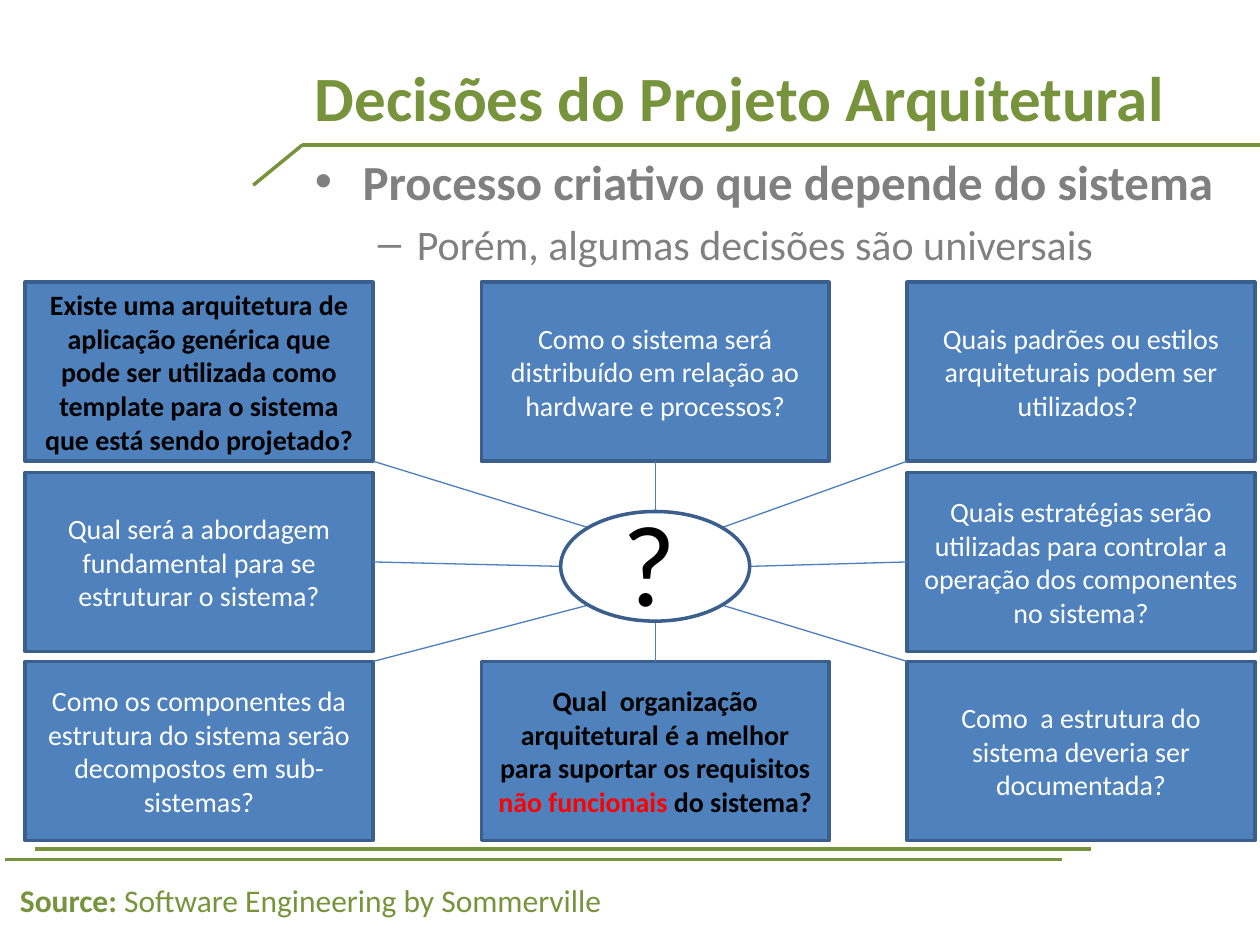
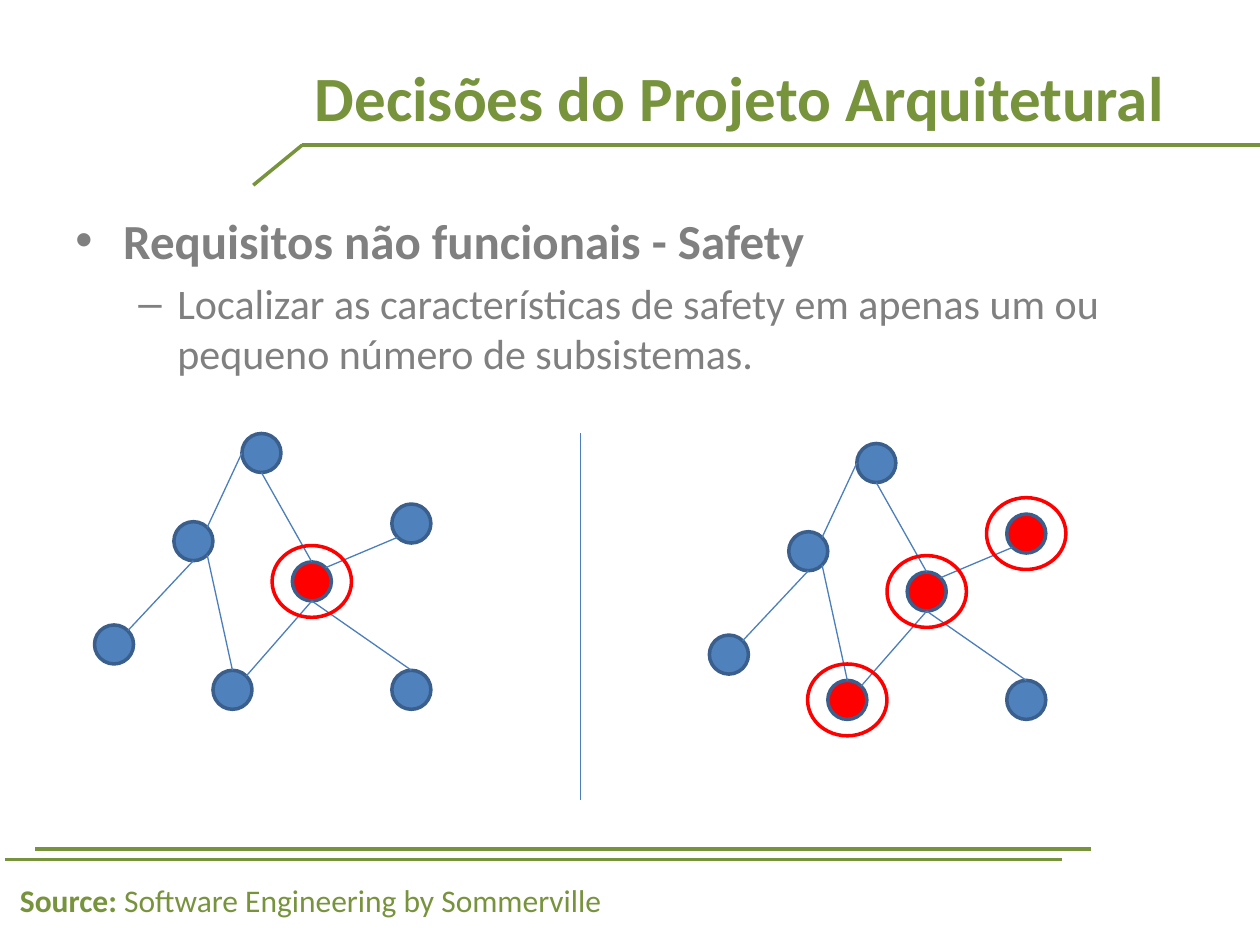
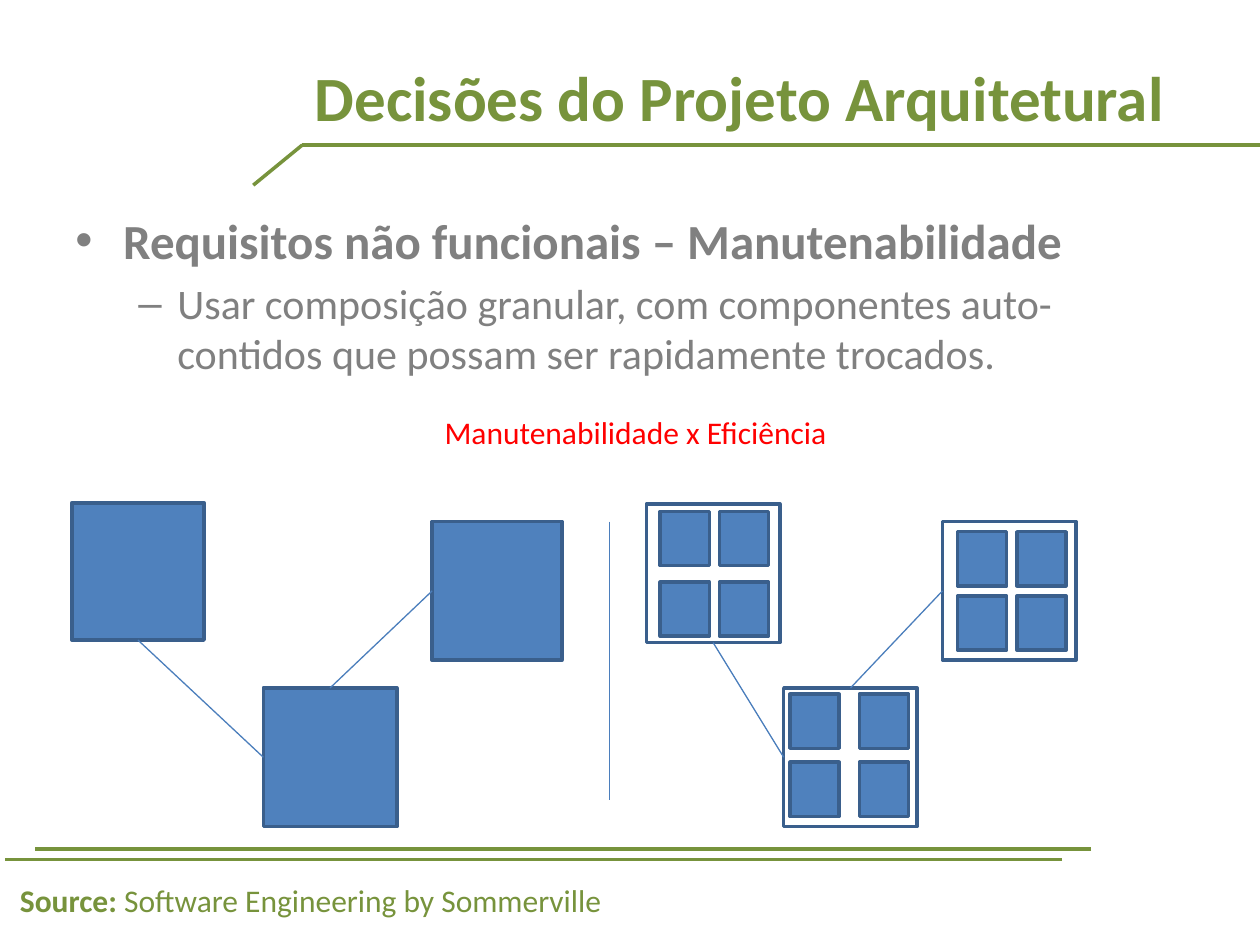
from math import hypot

from lxml.etree import SubElement
from pptx import Presentation
from pptx.dml.color import RGBColor
from pptx.enum.shapes import MSO_CONNECTOR as CONN, MSO_SHAPE as SHAPE
from pptx.enum.text import MSO_ANCHOR as ANCHOR, PP_ALIGN as ALIGN
from pptx.oxml.ns import qn
from pptx.util import Inches, Pt

COLORS = {
    "green": "77933C", "gray": "808080", "blue": "4F81BD", "edge": "3A5F8C",
    "link": "4B7EBC", "red": "FF0000", "white": "FFFFFF", "black": "000000",
}
FONT = "Calibri"
TITLE = "Decisões do Projeto Arquitetural"

# Rectangle connection site for each direction seen from the rectangle's centre
RECT_SITES = {(0, -1): 0, (-1, 0): 1, (0, 1): 2, (1, 0): 3}
TOP, BOTTOM, LEFT = (0, -1), (0, 1), (-1, 0)
TOP_RIGHT, BOTTOM_LEFT, BOTTOM_RIGHT = (1, -1), (-1, 1), (1, 1)


def rgb(name):
    return RGBColor.from_string(COLORS[name])


def add_text(tf, runs, size=18, color="black", bold=False, align=ALIGN.LEFT):
    """Add a paragraph; runs is a string or a list of (text, overrides)."""
    p = tf.paragraphs[0]
    if p.runs:
        p = tf.add_paragraph()
    p.alignment = align
    for text, over in [(runs, {})] if isinstance(runs, str) else runs:
        r = p.add_run()
        r.text = text
        r.font.name = FONT
        r.font.size = Pt(size)
        r.font.bold = over.get("bold", bold)
        r.font.color.rgb = rgb(over.get("color", color))
    return p


def ellipse_point(x, y, w, h, direction):
    dx, dy = direction
    norm = hypot(dx, dy)
    return x + w / 2 * (1 + dx / norm), y + h / 2 * (1 + dy / norm)


class Deck:
    def __init__(self):
        self.prs = Presentation()
        self.prs.slide_width, self.prs.slide_height = Inches(10), Inches(7.5)
        self.s = None

    def new_slide(self):
        """Start a slide with the shared lines, footer and title."""
        self.s = self.prs.slides.add_slide(self.prs.slide_layouts[6])
        for start, end in [((8.66, 6.74), (0.28, 6.74)), ((8.43, 6.82), (0.04, 6.82)),
                           ((10, 1.15), (2.4, 1.15)), ((2.4, 1.15), (2.01, 1.47))]:
            self.line(start, end, "green", 2)
        source = [("Source: ", {"bold": True}), ("Software Engineering by Sommerville", {})]
        add_text(self.box(0.06, 6.94, 4.93, 0.4, wrap=False), source, color="green")
        tf = self.box(2.24, 0.14, 7.26, 1.25)
        tf.vertical_anchor = ANCHOR.MIDDLE
        add_text(tf, TITLE, size=36, color="green", bold=True, align=ALIGN.CENTER)

    def box(self, x, y, w, h, wrap=True):
        sp = self.s.shapes.add_textbox(Inches(x), Inches(y), Inches(w), Inches(h))
        sp.text_frame.word_wrap = wrap
        return sp.text_frame

    def bullets(self, x, y, w, h, head, detail):
        tf = self.box(x, y, w, h)
        levels = [(head, 28, True, "•", 0.38, -0.38), (detail, 24, False, "–", 0.81, -0.31)]
        for level, (text, size, bold, char, margin, indent) in enumerate(levels):
            p = add_text(tf, text, size=size, color="gray", bold=bold)
            p.level = level
            p.space_before = Pt(size * 0.2)
            pPr = p._p.get_or_add_pPr()
            pPr.set("marL", str(Inches(margin)))
            pPr.set("indent", str(Inches(indent)))
            SubElement(pPr, qn("a:buFont"), typeface="Arial")
            SubElement(pPr, qn("a:buChar"), char=char)

    def shape(self, kind, x, y, w, h, fill="blue", edge="edge"):
        sp = self.s.shapes.add_shape(kind, Inches(x), Inches(y), Inches(w), Inches(h))
        sp.shadow.inherit = False
        if fill:
            sp.fill.solid()
            sp.fill.fore_color.rgb = rgb(fill)
        else:
            sp.fill.background()
        sp.line.color.rgb = rgb(edge)
        sp.line.width = Pt(2)
        return sp

    def line(self, start, end, color="link", width=0.75):
        cx = self.s.shapes.add_connector(CONN.STRAIGHT, *map(Inches, start + end))
        cx.line.color.rgb = rgb(color)
        cx.line.width = Pt(width)
        SubElement(cx._element.spPr, qn("a:effectLst"))
        return cx

    def join(self, sp1, side1, sp2, side2):
        """Link the sides of two rectangles."""
        cx = self.line((0, 0), (1, 1))
        cx.begin_connect(sp1, RECT_SITES[side1])
        cx.end_connect(sp2, RECT_SITES[side2])


def questions_slide(deck):
    deck.new_slide()
    deck.bullets(2.4, 1.15, 7.35, 1.13, "Processo criativo que depende do sistema",
                 "Porém, algumas decisões são universais")
    columns, rows, w, h = (0.2, 3.82, 7.2), (2.24, 3.75, 5.25), 2.76, 1.42
    hub = (4.45, 4.06, 1.5, 0.87)
    key = {"color": "black", "bold": True}
    # Direction from the hub, question, text format
    questions = [
        ((-1, -1), "Existe uma arquitetura de aplicação genérica que pode ser utilizada "
                   "como template para o sistema que está sendo projetado?", key),
        ((-1, 0), "Qual será a abordagem fundamental para se estruturar o sistema?", {}),
        ((-1, 1), "Como os componentes da estrutura do sistema serão decompostos em "
                  "sub-sistemas?", {}),
        ((1, -1), "Quais padrões ou estilos arquiteturais podem ser utilizados? ", {}),
        ((1, 0), "Quais estratégias serão utilizadas para controlar a operação dos "
                 "componentes no sistema?", {}),
        ((1, 1), "Como  a estrutura do sistema deveria ser documentada?", {}),
        ((0, 1), [("Qual  organização arquitetural é a melhor para suportar os requisitos ", {}),
                  ("não funcionais ", {"color": "red"}), ("do sistema?", {})], key),
        ((0, -1), "Como o sistema será distribuído em relação ao hardware e processos?", {}),
    ]
    for (dx, dy), question, fmt in questions:
        x, y = columns[dx + 1], rows[dy + 1]
        sp = deck.shape(SHAPE.RECTANGLE, x, y, w, h)
        tf = sp.text_frame
        tf.word_wrap = True
        tf.vertical_anchor = ANCHOR.MIDDLE
        add_text(tf, question, **{"size": 16, "color": "white", "align": ALIGN.CENTER, **fmt})
        # Link from the side or corner that faces the hub
        start = (x + w / 2 * (1 - dx), y + h / 2 * (1 - dy))
        cx = deck.line(start, ellipse_point(*hub, (dx, dy)))
        if (-dx, -dy) in RECT_SITES:
            cx.begin_connect(sp, RECT_SITES[-dx, -dy])
    add_text(deck.box(4.84, 3.85, 0.63, 1.21, wrap=False), "?", size=66)
    deck.shape(SHAPE.OVAL, *hub, fill=None)


def draw_network(deck, dx, dy, critical):
    """Draw the network shifted by dx, dy with its critical nodes ringed."""
    d, ring_w, ring_h = 0.31, 0.63, 0.57
    nodes = {"root": (1.92, 3.44), "left": (1.38, 4.14), "leaf": (0.75, 4.96),
             "low": (1.69, 5.32), "hub": (2.32, 4.46), "right": (3.11, 4), "end": (3.11, 5.32)}
    links = [("root", BOTTOM, "hub", TOP), ("hub", TOP_RIGHT, "right", BOTTOM_LEFT),
             ("hub", BOTTOM, "end", TOP), ("root", LEFT, "left", TOP_RIGHT),
             ("left", BOTTOM_RIGHT, "low", TOP), ("left", BOTTOM, "leaf", TOP_RIGHT),
             ("hub", BOTTOM, "low", TOP_RIGHT)]
    nodes = {name: (x + dx, y + dy) for name, (x, y) in nodes.items()}
    for name, (x, y) in nodes.items():
        deck.shape(SHAPE.OVAL, x, y, d, d, fill="red" if name in critical else "blue")
    for a, side_a, b, side_b in links:
        deck.line(ellipse_point(*nodes[a], d, d, side_a), ellipse_point(*nodes[b], d, d, side_b))
    for name in critical:
        x, y = nodes[name]
        deck.shape(SHAPE.OVAL, x + (d - ring_w) / 2, y + (d - ring_h) / 2, ring_w, ring_h,
                   fill=None, edge="red")


def safety_slide(deck):
    deck.new_slide()
    deck.bullets(0.5, 1.62, 9, 5.04, "Requisitos não funcionais - Safety",
                 "Localizar as características de safety em apenas um ou pequeno número "
                 "de subsistemas.")
    deck.line((4.61, 3.44), (4.61, 6.35))
    draw_network(deck, 0, 0, ["hub"])
    draw_network(deck, 4.88, 0.08, ["right", "hub", "low"])


def maintainability_slide(deck):
    deck.new_slide()
    deck.bullets(0.5, 1.62, 9, 1.5, "Requisitos não funcionais – Manutenabilidade",
                 "Usar composição granular, com componentes auto-contidos que possam ser "
                 "rapidamente trocados.")
    # Whole components
    whole = [deck.shape(SHAPE.RECTANGLE, *place) for place in
             [(0.57, 3.99, 1.05, 1.09), (2.09, 5.46, 1.06, 1.1), (3.43, 4.14, 1.03, 1.1)]]
    deck.line((4.84, 4.14), (4.84, 6.35))
    # Granular components: frame corner, then inset and pitch of the four parts
    granular = []
    for x, y, inset_x, pitch_x, inset_y, pitch_y in [
            (5.13, 4, 0.11, 0.47, 0.06, 0.56),
            (6.22, 5.46, 0.05, 0.55, 0.05, 0.54),
            (7.48, 4.14, 0.12, 0.47, 0.08, 0.51)]:
        for i in range(4):
            deck.shape(SHAPE.RECTANGLE, x + inset_x + i % 2 * pitch_x,
                       y + inset_y + i // 2 * pitch_y, 0.39, 0.43)
        granular.append(deck.shape(SHAPE.RECTANGLE, x, y, 1.06, 1.1, fill=None))
    for first, middle, last in (whole, granular):
        deck.join(first, BOTTOM, middle, LEFT)
        deck.join(middle, TOP, last, LEFT)
    add_text(deck.box(3.43, 3.23, 3.27, 0.4, wrap=False), "Manutenabilidade x Eficiência",
             color="red")


def main():
    deck = Deck()
    questions_slide(deck)
    safety_slide(deck)
    maintainability_slide(deck)
    deck.prs.save("out.pptx")


if __name__ == "__main__":
    main()
